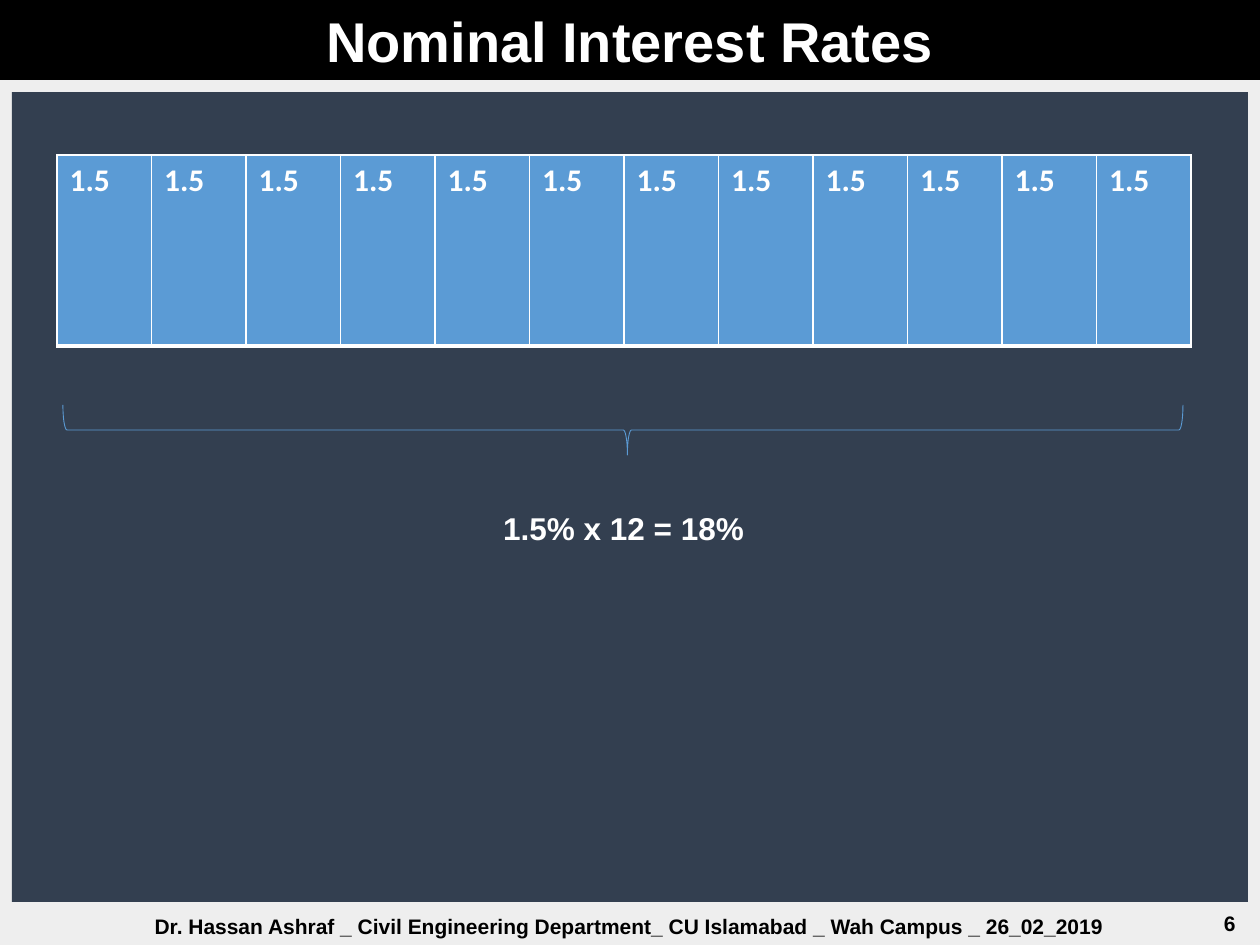
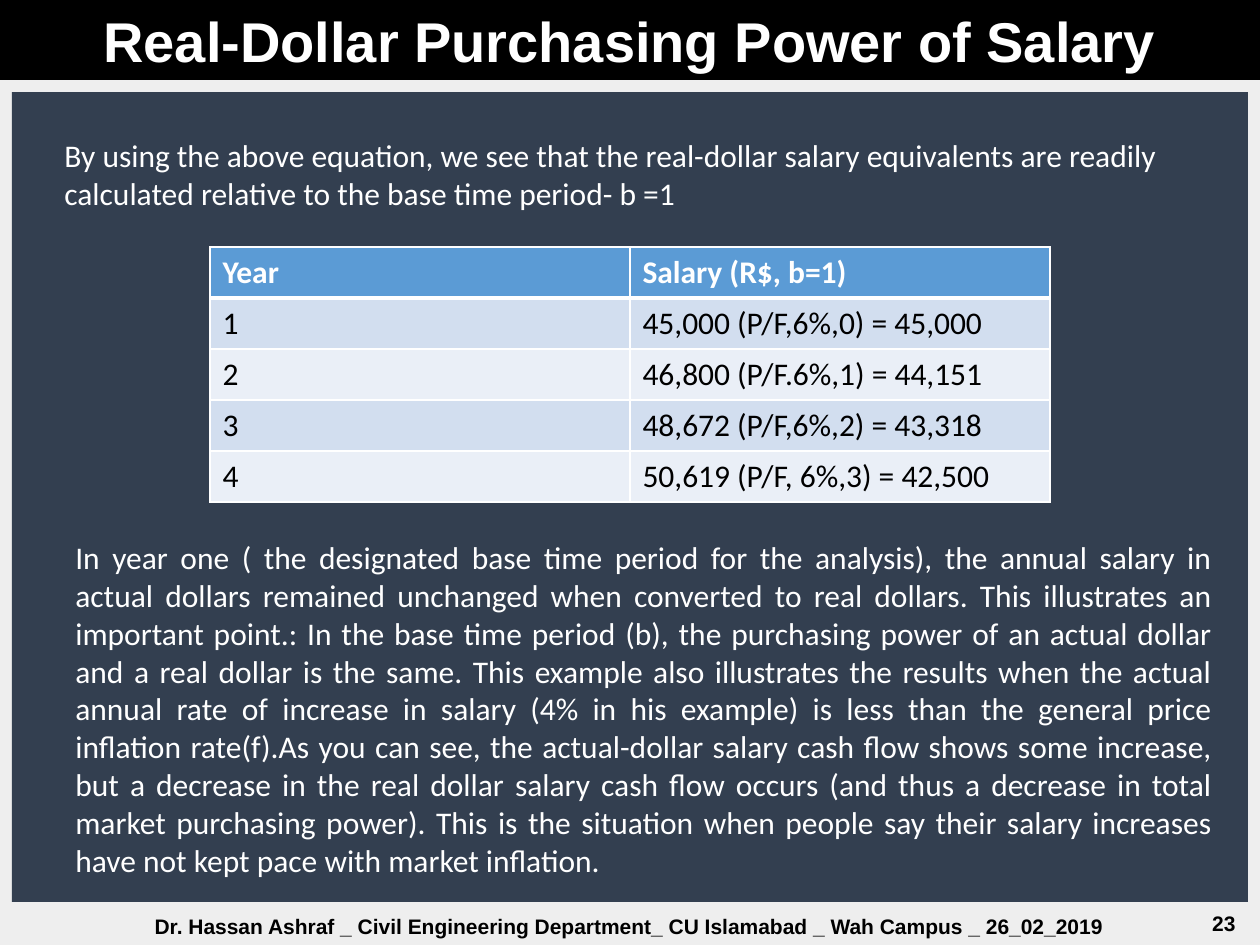
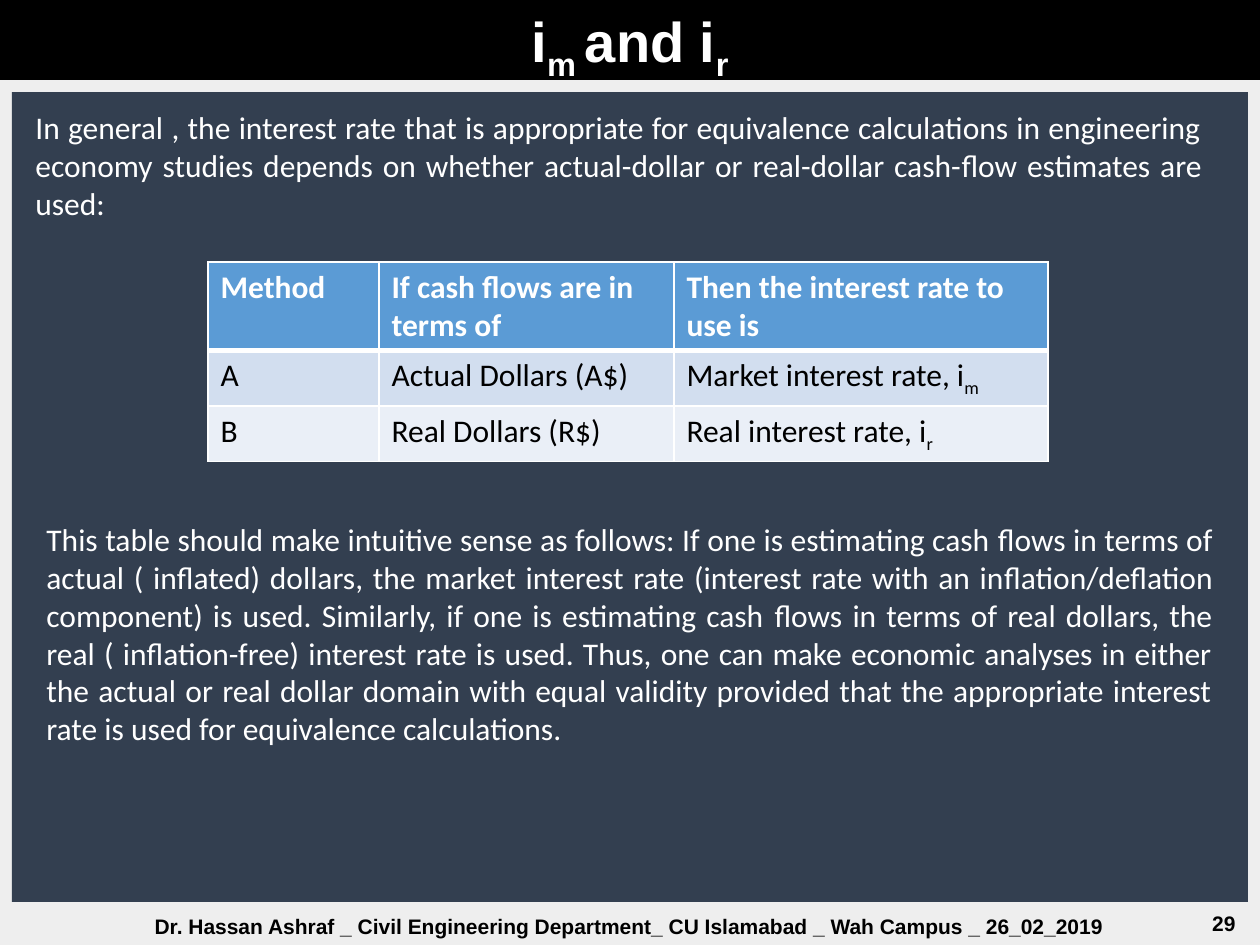
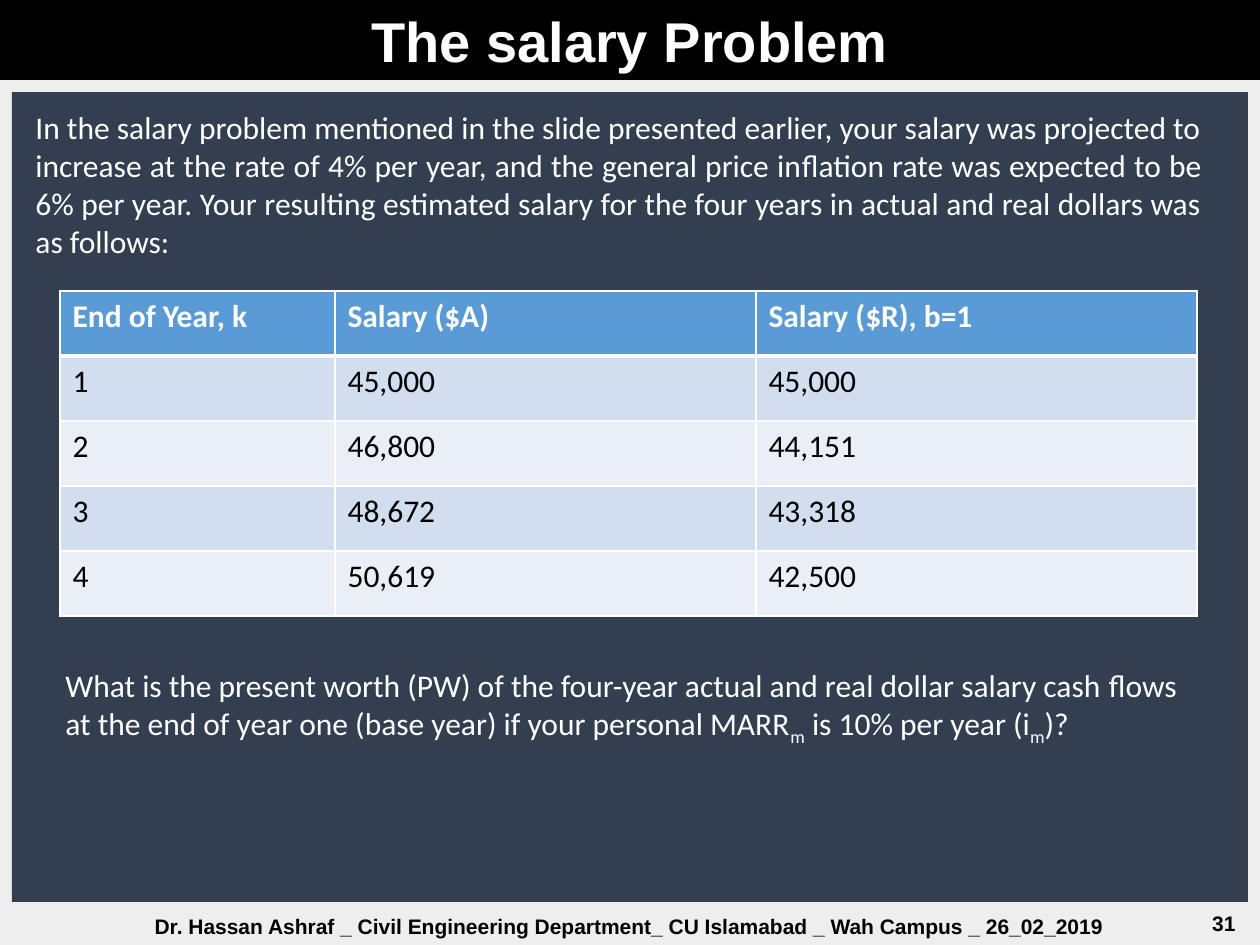
from dataclasses import dataclass

from lxml.etree import SubElement
from pptx import Presentation
from pptx.dml.color import RGBColor
from pptx.enum.shapes import MSO_SHAPE
from pptx.enum.text import MSO_ANCHOR, MSO_AUTO_SIZE, PP_ALIGN
from pptx.oxml.ns import qn
from pptx.util import Emu, Pt

EMU_PER_INCH = 914400
PX_PER_INCH = 126
SLIDE_WIDTH, SLIDE_HEIGHT = 1260, 945
SUBSCRIPT_MARK = "~"
FOOTER = "Dr. Hassan Ashraf _ Civil Engineering Department_ CU Islamabad _ Wah Campus _ 26_02_2019"


@dataclass(frozen=True)
class TextStyle:
    font: str
    size: int
    color: str
    bold: bool = False


@dataclass(frozen=True)
class Theme:
    background_start: str = "EEEEEE"
    background_end: str = "F0F0F0"
    title_band: str = "000000"
    panel: str = "333F50"
    accent: str = "5B9BD5"
    row_bands: tuple = ("D2DEEF", "EAEFF7")
    border: str = "FFFFFF"
    border_width: int = 1
    header_border_width: int = 3
    brace_width: float = 0.5
    title: TextStyle = TextStyle("Arial", 32, "FFFFFF", True)
    footer: TextStyle = TextStyle("Arial", 12, "000000", True)
    formula: TextStyle = TextStyle("Arial", 18, "FFFFFF", True)
    body: TextStyle = TextStyle("Calibri", 18, "FFFFFF")
    table_header: TextStyle = TextStyle("Calibri", 18, "FFFFFF", True)
    table_body: TextStyle = TextStyle("Calibri", 18, "000000")


THEME = Theme()


def px(length):
    return Emu(round(length * EMU_PER_INCH / PX_PER_INCH))


def px_box(box):
    return [px(length) for length in box]


def rgb(color):
    return RGBColor.from_string(color)


def write_text(text_frame, text, style, alignment=PP_ALIGN.LEFT):
    paragraph = text_frame.paragraphs[0]
    paragraph.alignment = alignment
    for index, part in enumerate(text.split(SUBSCRIPT_MARK)):
        if not part:
            continue
        run = paragraph.add_run()
        run.text = part
        run.font.name = style.font
        run.font.size = Pt(style.size)
        run.font.bold = style.bold
        run.font.color.rgb = rgb(style.color)
        if index % 2:
            run.font._element.set("baseline", "-25000")


def add_text(slide, box, text, style, alignment=PP_ALIGN.LEFT):
    text_frame = slide.shapes.add_textbox(*px_box(box)).text_frame
    text_frame.word_wrap = True
    text_frame.auto_size = MSO_AUTO_SIZE.SHAPE_TO_FIT_TEXT
    write_text(text_frame, text, style, alignment)
    return text_frame


def add_footer_text(slide, box, text, alignment):
    text_frame = add_text(slide, box, text, THEME.footer, alignment)
    text_frame.auto_size = MSO_AUTO_SIZE.NONE
    text_frame.vertical_anchor = MSO_ANCHOR.MIDDLE


def add_rectangle(slide, box, color):
    shape = slide.shapes.add_shape(MSO_SHAPE.RECTANGLE, *px_box(box))
    shape.shadow.inherit = False
    shape.fill.solid()
    shape.fill.fore_color.rgb = rgb(color)
    shape.line.fill.background()
    return shape


def add_brace_below(slide, box):
    left, top, width, height = box
    upright_box = (left + (width - height) / 2, top + (height - width) / 2, height, width)
    shape = slide.shapes.add_shape(MSO_SHAPE.LEFT_BRACE, *px_box(upright_box))
    shape.rotation = 270
    shape.adjustments[0] = 0.08
    shape.adjustments[1] = 0.504
    shape.shadow.inherit = False
    shape.fill.background()
    shape.line.color.rgb = rgb(THEME.accent)
    shape.line.width = Pt(THEME.brace_width)


def set_borders(cell, top_width, bottom_width):
    side_width = THEME.border_width
    widths = {"a:lnL": side_width, "a:lnR": side_width, "a:lnT": top_width, "a:lnB": bottom_width}
    properties = cell._tc.get_or_add_tcPr()
    for tag, width in widths.items():
        line = SubElement(properties, qn(tag), w=str(Pt(width)))
        fill = SubElement(line, qn("a:solidFill"))
        SubElement(fill, qn("a:srgbClr"), val=THEME.border)


def format_cell(cell, row_index, text):
    is_header = row_index == 0
    thin, thick = THEME.border_width, THEME.header_border_width
    set_borders(cell, thick if row_index == 1 else thin, thick if is_header else thin)
    cell.fill.solid()
    color = THEME.accent if is_header else THEME.row_bands[(row_index - 1) % 2]
    cell.fill.fore_color.rgb = rgb(color)
    write_text(cell.text_frame, text, THEME.table_header if is_header else THEME.table_body)


def add_data_table(slide, left, top, column_widths, row_height, rows):
    box = (left, top, sum(column_widths), row_height * len(rows))
    table = slide.shapes.add_table(len(rows), len(column_widths), *px_box(box)).table
    table.horz_banding = False
    for column, width in zip(table.columns, column_widths):
        column.width = px(width)
    for row_index, (row, texts) in enumerate(zip(table.rows, rows)):
        row.height = px(row_height)
        for cell, text in zip(row.cells, texts):
            format_cell(cell, row_index, text)


def set_background(presentation):
    fill = presentation.slide_master.background.fill
    fill.gradient()
    fill.gradient_angle = 0
    colors = (THEME.background_start, THEME.background_end)
    for stop, color, position in zip(fill.gradient_stops, colors, (0, 0.59)):
        stop.color.rgb = rgb(color)
        stop.position = position


def add_lecture_slide(presentation, title, number):
    slide = presentation.slides.add_slide(presentation.slide_layouts[6])
    add_rectangle(slide, (12, 92, 1236, 810), THEME.panel)
    band = add_rectangle(slide, (0, 0, SLIDE_WIDTH, 80), THEME.title_band)
    band.text_frame.word_wrap = True
    band.text_frame.vertical_anchor = MSO_ANCHOR.TOP
    write_text(band.text_frame, title, THEME.title, PP_ALIGN.CENTER)
    add_footer_text(slide, (964, 898, 284, 50), str(number), PP_ALIGN.RIGHT)
    add_footer_text(slide, (12, 901, 1235, 50), FOOTER, PP_ALIGN.CENTER)
    return slide


def build_nominal_rates(presentation):
    slide = add_lecture_slide(presentation, "Nominal Interest Rates", 6)
    months = 12
    add_data_table(slide, 57, 155, [94.5] * months, 191, [["1.5"] * months])
    add_brace_below(slide, (63, 405, 1120, 50))
    add_text(slide, (451, 503, 345, 50), "1.5% x 12 = 18%", THEME.formula, PP_ALIGN.CENTER)


def build_purchasing_power(presentation):
    slide = add_lecture_slide(presentation, "Real-Dollar Purchasing Power of Salary", 23)
    add_text(
        slide, (52, 130, 1162, 89),
        "By using the above equation, we see that the real-dollar salary equivalents are readily "
        "calculated relative to the base time period- b =1",
        THEME.body,
    )
    add_data_table(slide, 210, 247, [420, 420], 51, [
        ("Year", "Salary (R$, b=1)"),
        ("1", "45,000 (P/F,6%,0) = 45,000"),
        ("2", "46,800 (P/F.6%,1) = 44,151"),
        ("3", "48,672 (P/F,6%,2) = 43,318"),
        ("4", "50,619 (P/F, 6%,3) = 42,500"),
    ])
    add_text(
        slide, (63, 532, 1162, 394),
        "In year one ( the designated base time period for the analysis), the annual salary in "
        "actual dollars remained unchanged when converted to real dollars. This illustrates an "
        "important point.: In the base time period (b), the purchasing power of an actual dollar "
        "and a real dollar is the same. This example also illustrates the results when the actual "
        "annual rate of increase in salary (4% in his example) is less than the general price "
        "inﬂation rate(f).As you can see, the actual-dollar salary cash ﬂow shows some increase, "
        "but a decrease in the real dollar salary cash ﬂow occurs (and thus a decrease in total "
        "market purchasing power). This is the situation when people say their salary increases "
        "have not kept pace with market inﬂation.",
        THEME.body, PP_ALIGN.JUSTIFY,
    )


def build_interest_rate_choice(presentation):
    slide = add_lecture_slide(presentation, "i~m ~and i~r~", 29)
    add_text(
        slide, (23, 102, 1191, 127),
        "In general , the interest rate that is appropriate for equivalence calculations in "
        "engineering economy studies depends on whether actual-dollar or real-dollar cash-flow "
        "estimates are used:",
        THEME.body, PP_ALIGN.JUSTIFY,
    )
    add_data_table(slide, 208, 262, [171, 295, 374], 51, [
        ("Method", "If cash flows are in terms of", "Then the interest rate to use is"),
        ("A", "Actual Dollars (A$)", "Market interest rate, i~m~"),
        ("B", "Real Dollars (R$)", "Real interest rate, i~r~"),
    ])
    add_text(
        slide, (34, 514, 1191, 242),
        "This table should make intuitive sense as follows: If one is estimating cash flows in "
        "terms of actual ( inflated) dollars, the market interest rate (interest rate with an "
        "inflation/deflation component) is used. Similarly, if one is estimating cash flows in "
        "terms of real dollars, the real ( inflation-free) interest rate is used. Thus, one can "
        "make economic analyses in either the actual or real dollar domain with equal validity "
        "provided that the appropriate interest rate is used for equivalence calculations.",
        THEME.body, PP_ALIGN.JUSTIFY,
    )


def build_salary_problem(presentation):
    slide = add_lecture_slide(presentation, "The salary Problem", 31)
    add_text(
        slide, (23, 102, 1191, 165),
        "In the salary problem mentioned in the slide presented earlier, your salary was "
        "projected to increase at the rate of 4% per year, and the general price inflation rate "
        "was expected to be 6% per year. Your resulting estimated salary for the four years in "
        "actual and real dollars was as follows:",
        THEME.body, PP_ALIGN.JUSTIFY,
    )
    add_data_table(slide, 60, 291, [275, 421, 441], 65, [
        ("End of Year, k", "Salary ($A)", "Salary ($R), b=1"),
        ("1", "45,000", "45,000"),
        ("2", "46,800", "44,151"),
        ("3", "48,672", "43,318"),
        ("4", "50,619", "42,500"),
    ])
    add_text(
        slide, (53, 660, 1143, 89),
        "What is the present worth (PW) of the four-year actual and real dollar salary cash flows "
        "at the end of year one (base year) if your personal MARR~m~ is 10% per year (i~m~)?",
        THEME.body,
    )


def main():
    presentation = Presentation()
    presentation.slide_width = px(SLIDE_WIDTH)
    presentation.slide_height = px(SLIDE_HEIGHT)
    set_background(presentation)
    build_nominal_rates(presentation)
    build_purchasing_power(presentation)
    build_interest_rate_choice(presentation)
    build_salary_problem(presentation)
    presentation.save("out.pptx")


if __name__ == "__main__":
    main()
